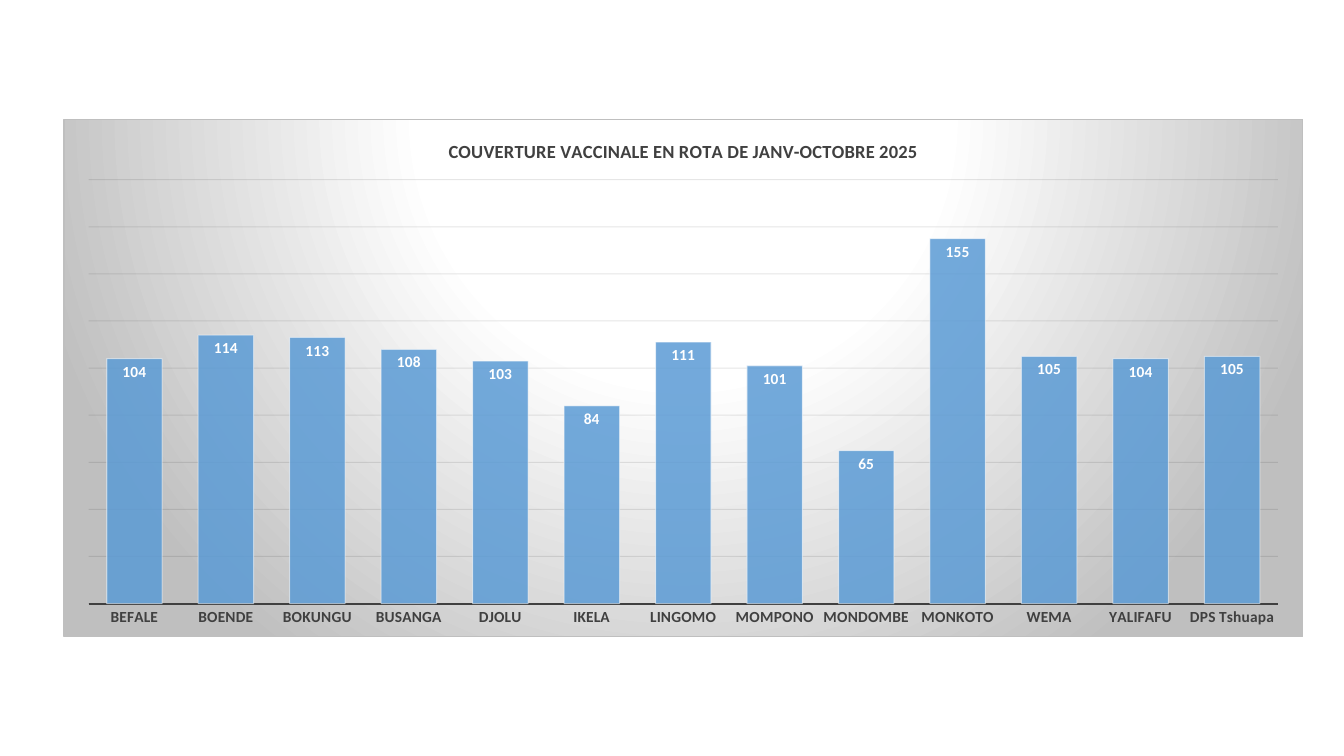
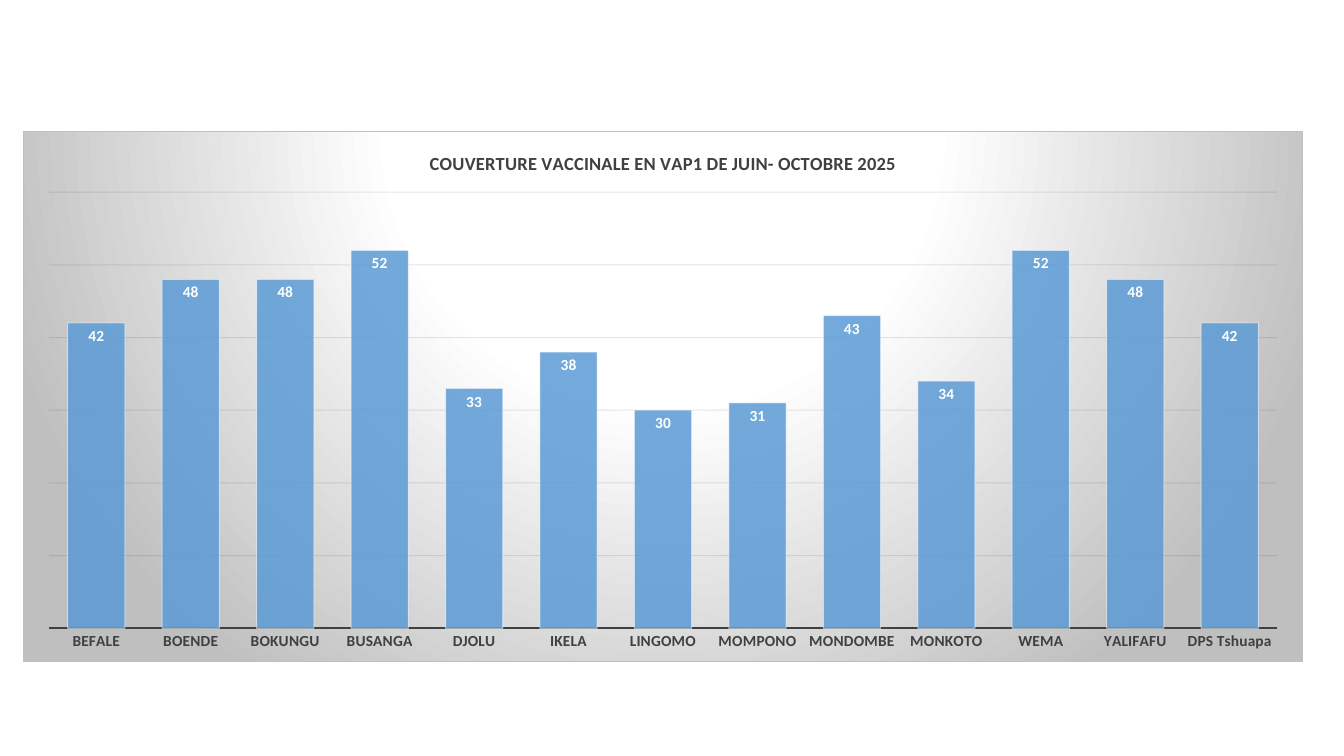
import lxml.etree
import pptx
import pptx.chart.data
import pptx.dml.color
import pptx.enum.chart
import pptx.oxml
import pptx.oxml.ns
import pptx.util

Cm = pptx.util.Cm
Pt = pptx.util.Pt

BLUE, WHITE, GREY = "5B9BD5", "FFFFFF", "BFBFBF"
DARK, BLACK, GRID = "404040", "000000", "0D0D0D"

ZONES = ["BEFALE", "BOENDE", "BOKUNGU", "BUSANGA", "DJOLU", "IKELA", "LINGOMO",
         "MOMPONO", "MONDOMBE", "MONKOTO", "WEMA", "YALIFAFU", "DPS Tshuapa"]

COVERAGE = [
    {
        "title": "COUVERTURE VACCINALE EN ROTA DE JANV-OCTOBRE 2025",
        "box": (1.6, 3, 31.24, 13.06),
        "values": [104, 114, 113, 108, 103, 84, 111, 101, 65, 155, 105, 104, 105],
        "scale": {"minimum_scale": 0, "maximum_scale": 180, "major_unit": 20},
    },
    {
        "title": "COUVERTURE VACCINALE EN VAP1 DE JUIN- OCTOBRE 2025",
        "box": (0.58, 3.3, 32.26, 13.39),
        "values": [42, 48, 48, 52, 33, 38, 30, 31, 43, 34, 52, 48, 42],
        "scale": {"minimum_scale": 0, "maximum_scale": 60, "major_unit": 10},
    },
]

OPACITY = {
    ".//c:ser/c:spPr/a:solidFill/a:srgbClr": 85,
    ".//c:ser/c:spPr/a:ln/a:solidFill/a:srgbClr": 50,
    ".//c:majorGridlines//a:srgbClr": 10,
}

PANEL = f"""<c:spPr {pptx.oxml.ns.nsdecls("c", "a")}>
  <a:gradFill rotWithShape="1">
    <a:gsLst>
      <a:gs pos="0"><a:srgbClr val="{WHITE}"/></a:gs>
      <a:gs pos="39000"><a:srgbClr val="{WHITE}"/></a:gs>
      <a:gs pos="100000"><a:srgbClr val="{GREY}"/></a:gs>
    </a:gsLst>
    <a:path path="circle">
      <a:fillToRect l="50000" t="-80000" r="50000" b="180000"/>
    </a:path>
  </a:gradFill>
  <a:ln w="9525"><a:solidFill><a:srgbClr val="{GREY}"/></a:solidFill></a:ln>
</c:spPr>"""


def color(value):
    return pptx.dml.color.RGBColor.from_string(value)


def apply(target, formats):
    for name, value in formats.items():
        setattr(target, name, value)


def style_font(font, tint, size=11):
    apply(font, {"name": "Calibri", "size": Pt(size), "bold": True})
    font.color.rgb = color(tint)


def style_line(line, tint, width=0.75):
    line.color.rgb = color(tint)
    line.width = Pt(width)


def style_axes(chart, scale):
    tick_none = pptx.enum.chart.XL_TICK_MARK.NONE
    zones = chart.category_axis
    apply(zones, {"major_tick_mark": tick_none, "minor_tick_mark": tick_none,
                  "has_major_gridlines": False})
    style_font(zones.tick_labels.font, DARK)
    style_line(zones.format.line, DARK, 1.5)
    rates = chart.value_axis
    apply(rates, {"visible": False, "has_major_gridlines": True, **scale})
    apply(rates.tick_labels, {"number_format": "0", "number_format_is_linked": False})
    style_line(rates.major_gridlines.format.line, GRID)


def style_bars(plot):
    apply(plot, {"gap_width": 65, "vary_by_categories": False, "has_data_labels": True})
    apply(plot.data_labels, {
        "show_value": True,
        "number_format": "0",
        "number_format_is_linked": False,
        "position": pptx.enum.chart.XL_LABEL_POSITION.INSIDE_END,
    })
    style_font(plot.data_labels.font, WHITE)
    bars = plot.series[0]
    bars.invert_if_negative = False
    bars.format.fill.solid()
    bars.format.fill.fore_color.rgb = color(BLUE)
    style_line(bars.format.line, WHITE)


def style_panel(chart):
    chart.element.xpath("c:chart")[0].addnext(pptx.oxml.parse_xml(PANEL))
    for query, percent in OPACITY.items():
        for tint in chart.element.xpath(query):
            alpha = lxml.etree.SubElement(tint, pptx.oxml.ns.qn("a:alpha"))
            alpha.set("val", str(percent * 1000))


def add_coverage_slide(deck, title, box, values, scale):
    page = deck.slides.add_slide(deck.slide_layouts[6])
    data = pptx.chart.data.CategoryChartData(number_format="0")
    data.categories = ZONES
    data.add_series("Series 1", values)
    chart = page.shapes.add_chart(
        pptx.enum.chart.XL_CHART_TYPE.COLUMN_CLUSTERED, *map(Cm, box), data).chart
    apply(chart, {"has_legend": False, "has_title": True})
    style_font(chart.font, BLACK)
    para = chart.chart_title.text_frame.paragraphs[0]
    span = para.add_run()
    span.text = title
    style_font(span.font, DARK, 13.2)
    style_axes(chart, scale)
    style_bars(chart.plots[0])
    style_panel(chart)


def main():
    deck = pptx.Presentation()
    apply(deck, {"slide_width": Cm(33.87), "slide_height": Cm(19.05)})
    for coverage in COVERAGE:
        add_coverage_slide(deck, **coverage)
    deck.save("out.pptx")


if __name__ == "__main__":
    main()
